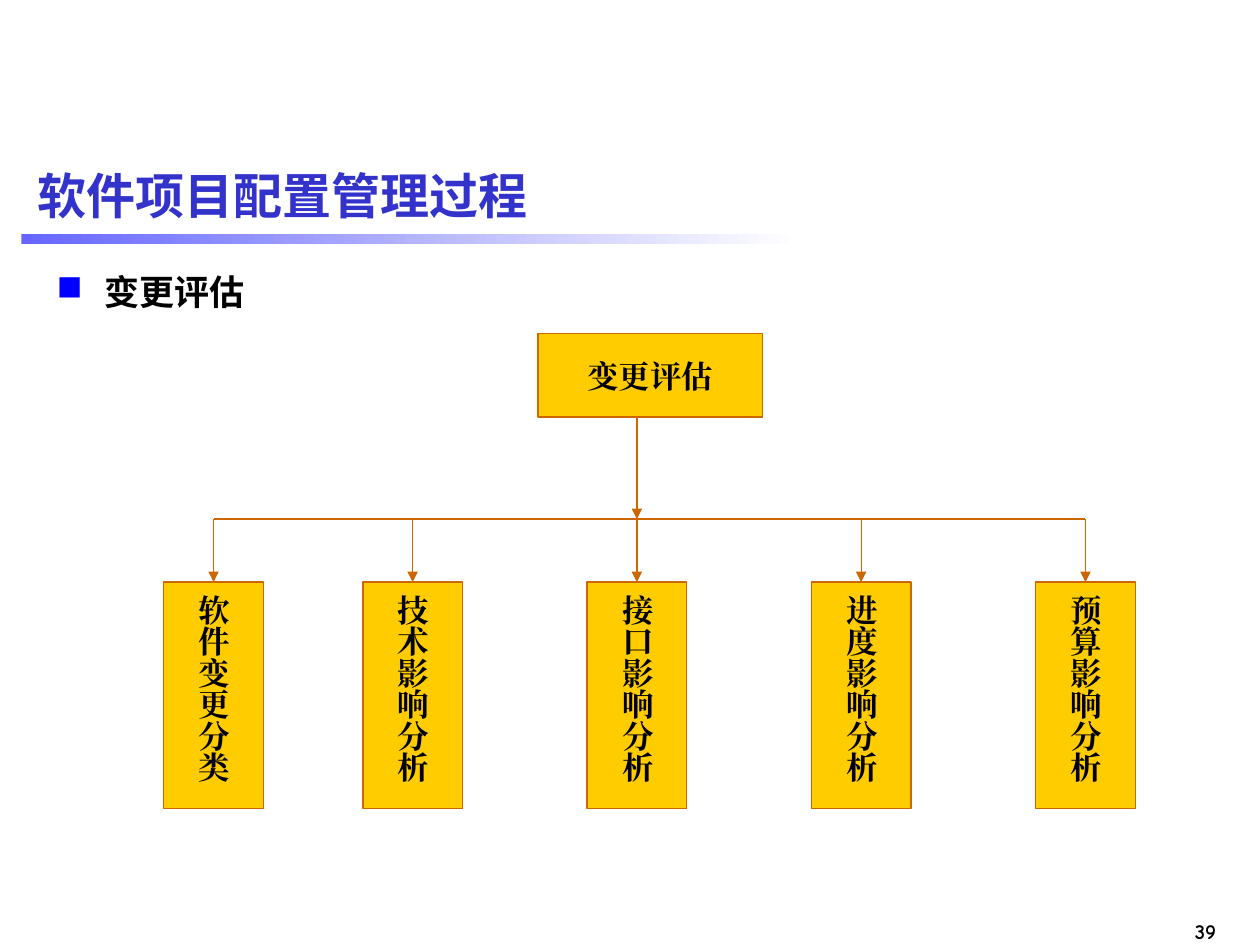
"""Build the change-evaluation slide: a root box branching to five kinds of analysis."""
from lxml import etree
from pptx import Presentation
from pptx.dml.color import RGBColor
from pptx.enum.shapes import MSO_CONNECTOR, MSO_SHAPE
from pptx.enum.text import MSO_ANCHOR, PP_ALIGN
from pptx.oxml.ns import qn
from pptx.util import Inches, Pt

RECTANGLE = MSO_SHAPE.RECTANGLE
STRAIGHT = MSO_CONNECTOR.STRAIGHT
MIDDLE, TOP = MSO_ANCHOR.MIDDLE, MSO_ANCHOR.TOP
LEFT, CENTER, RIGHT = PP_ALIGN.LEFT, PP_ALIGN.CENTER, PP_ALIGN.RIGHT

TITLE = "软件项目配置管理过程"
TOPIC = "变更评估"
PAGE_NUMBER = "39"
ANALYSES = [
    ("软件变更分类", LEFT),
    ("技术影响分析", LEFT),
    ("接口影响分析", LEFT),
    ("进度影响分析", CENTER),
    ("预算影响分析", CENTER),
]

THEME = {
    "title": ("Arial", 28, "3333CC"),
    "topic": ("Arial", 20, "000000"),
    "box": ("Times New Roman", 18, "000000"),
    "number": ("Comic Neue", 12, "000000"),
    "fill": "FFCC00",
    "line": "CC6600",
    "line_width": 0.75,
    "bullet": "0000FF",
    "bar": ("6666FF", "FFFFFF"),
}

ROOT = (4.27, 2.65, 1.78, 0.66)
FIRST_LEFT, SECOND_LEFT, STEP = 1.3, 2.88, 1.78
LEAF_TOP, LEAF_WIDTH, LEAF_HEIGHT = 4.62, 0.79, 1.8
BRANCH_Y = 4.12
INDENT = 0.38


def color(name):
    return RGBColor.from_string(name)


def write(shape, text, style, align=LEFT, anchor=MIDDLE, wrap=True):
    frame = shape.text_frame
    frame.word_wrap = wrap
    frame.vertical_anchor = anchor
    para = frame.paragraphs[0]
    para.alignment = align
    para.space_before = Pt(0)
    span = para.add_run()
    span.text = text
    name, size, tint = THEME[style]
    span.font.name = name
    span.font.size = Pt(size)
    span.font.bold = True
    span.font.color.rgb = color(tint)
    east_asian = etree.SubElement(span.font._element, qn("a:ea"))
    east_asian.set("typeface", name)
    return para


def add_bullet(para):
    props = para._p.get_or_add_pPr()
    props.set("marL", str(Inches(INDENT)))
    props.set("indent", str(-Inches(INDENT)))
    tint = etree.SubElement(props, qn("a:buClr"))
    etree.SubElement(tint, qn("a:srgbClr")).set("val", THEME["bullet"])
    etree.SubElement(props, qn("a:buChar")).set("char", "■")


def add_text_box(page, place):
    return page.shapes.add_textbox(*map(Inches, place))


def add_box(page, place, text, align=CENTER, vertical=False):
    box = page.shapes.add_shape(RECTANGLE, *map(Inches, place))
    box.shadow.inherit = False
    box.fill.solid()
    box.fill.fore_color.rgb = color(THEME["fill"])
    box.line.color.rgb = color(THEME["line"])
    box.line.width = Pt(THEME["line_width"])
    write(box, text, "box", align)
    if vertical:
        box.text_frame._txBody.bodyPr.set("vert", "eaVert")


def add_line(page, start, end, arrow=True):
    line = page.shapes.add_connector(STRAIGHT, *map(Inches, start + end))
    line.line.color.rgb = color(THEME["line"])
    line.line.width = Pt(THEME["line_width"])
    if arrow:
        etree.SubElement(line.line._get_or_add_ln(), qn("a:tailEnd")).set("type", "triangle")
    etree.SubElement(line._element.spPr, qn("a:effectLst"))


def add_title_bar(page):
    bar = page.shapes.add_shape(RECTANGLE, *map(Inches, (0.17, 1.86, 6.17, 0.08)))
    bar.shadow.inherit = False
    bar.line.fill.background()
    bar.fill.gradient()
    bar.fill.gradient_angle = 0
    for stop, tint, position in zip(bar.fill.gradient_stops, THEME["bar"], (0, 1)):
        stop.color.rgb = color(tint)
        stop.position = position


def add_heading(page):
    title = page.shapes.title
    title.left, title.top, title.width, title.height = map(Inches, (0.2, 1.15, 9.61, 0.79))
    write(title, TITLE, "title")
    topic = add_text_box(page, (0.35, 2.1, 9.45, 5.4))
    add_bullet(write(topic, TOPIC, "topic", anchor=TOP))
    number = add_text_box(page, (9.2, 7.24, 0.55, 0.3))
    write(number, PAGE_NUMBER, "number", RIGHT, TOP, wrap=False)


def add_tree(page):
    add_box(page, ROOT, TOPIC)
    lefts = [FIRST_LEFT] + [SECOND_LEFT + STEP * i for i in range(len(ANALYSES) - 1)]
    centers = [left + LEAF_WIDTH / 2 for left in lefts]
    for left, center, (text, align) in zip(lefts, centers, ANALYSES):
        add_box(page, (left, LEAF_TOP, LEAF_WIDTH, LEAF_HEIGHT), text, align, vertical=True)
        add_line(page, (center, BRANCH_Y), (center, LEAF_TOP))
    trunk = centers[len(centers) // 2]
    add_line(page, (trunk, ROOT[1] + ROOT[3]), (trunk, BRANCH_Y))
    add_line(page, (centers[0], BRANCH_Y), (centers[-1], BRANCH_Y), arrow=False)


def main():
    deck = Presentation()
    deck.slide_width, deck.slide_height = Inches(10), Inches(7.5)
    page = deck.slides.add_slide(deck.slide_layouts[5])
    add_title_bar(page)
    add_heading(page)
    add_tree(page)
    deck.save("out.pptx")


if __name__ == "__main__":
    main()
